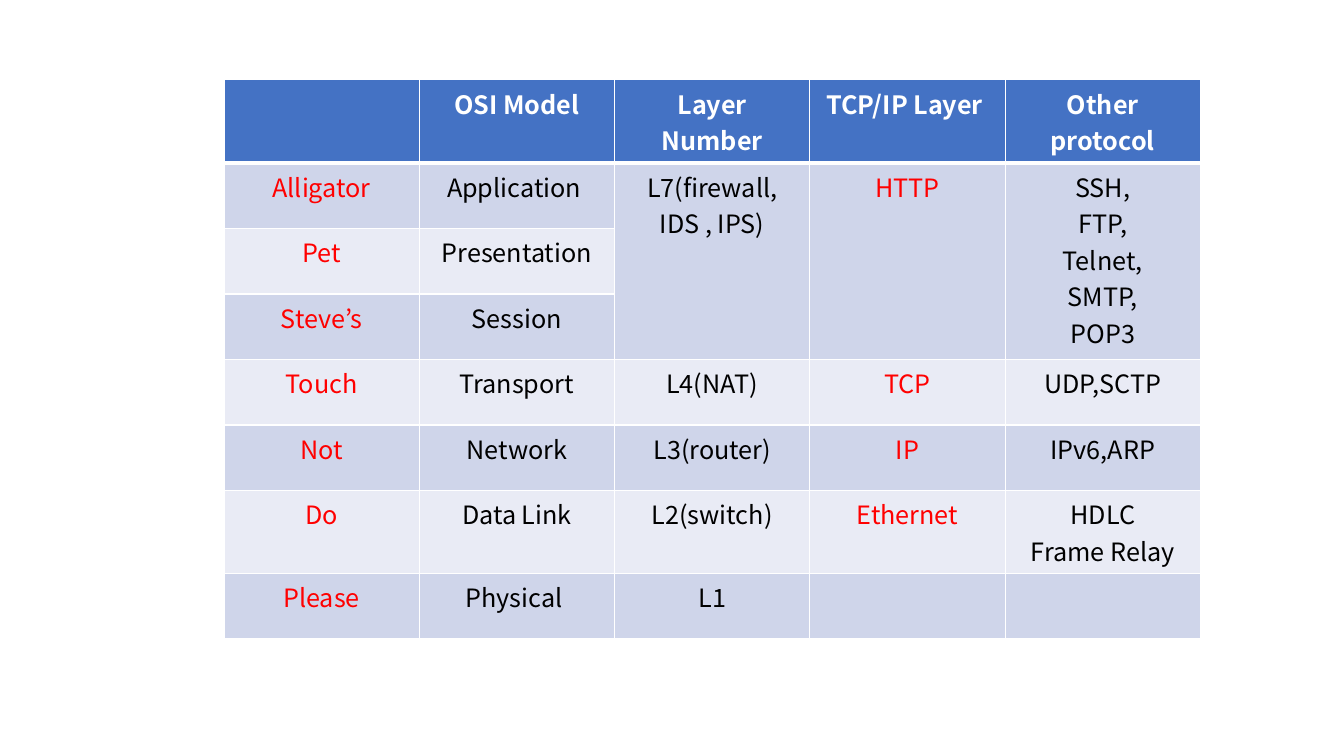
from pptx import Presentation, util as u
from pptx.dml.color import RGBColor
from pptx.enum import text
from pptx.oxml.ns import qn
from lxml import etree

HEADINGS = ["", "OSI Model", "Layer Number", "TCP/IP Layer ", "Other protocol"]
LAYERS = [
    ["Alligator", "Application ", "L7(firewall, IDS , IPS)", "HTTP",
     "SSH,\nFTP,\nTelnet,\nSMTP,\nPOP3"],
    ["Pet", "Presentation", "", "", ""],
    ["Steve’s", "Session", "", "", ""],
    ["Touch", "Transport", "L4(NAT)", "TCP", "UDP,SCTP"],
    ["Not", "Network", "L3(router)", "IP", "IPv6,ARP"],
    ["Do", "Data Link", "L2(switch)", "Ethernet", "HDLC\nFrame Relay"],
    ["Please", "Physical ", "L1", "", ""],
]
MERGED_COLUMNS = (2, 3, 4)
MERGED_ROWS = (1, 3)
RED_COLUMNS = (0, 3)

THEME = {
    "font": "Noto Sans CJK KR", "size": 18,
    "header": "4472C4", "bands": ("E9EBF5", "CFD5EA"),
    "header_text": "FFFFFF", "text": "000000", "accent": "FF0000",
    "border": "FFFFFF", "thin": 1, "thick": 3,
}
LEFT, TOP = 160, 57
COLUMN_WIDTH, ROW_HEIGHT = 139.5, 46.8


def set_borders(cell, row):
    """Add white cell edges, thick between the header and the body."""
    widths = {"L": THEME["thin"], "R": THEME["thin"],
              "T": THEME["thick"] if row == 1 else THEME["thin"],
              "B": THEME["thick"] if row == 0 else THEME["thin"]}
    properties = cell._tc.get_or_add_tcPr()
    for position, (side, width) in enumerate(widths.items()):
        line = etree.Element(qn(f"a:ln{side}"), w=str(int(u.Pt(width))))
        fill = etree.SubElement(line, qn("a:solidFill"))
        etree.SubElement(fill, qn("a:srgbClr"), val=THEME["border"])
        properties.insert(position, line)


def text_color(row, column):
    if row == 0:
        return THEME["header_text"]
    return THEME["accent"] if column in RED_COLUMNS else THEME["text"]


def fill_cell(cell, row, column, content):
    cell.text_frame.text = content
    for paragraph in cell.text_frame.paragraphs:
        paragraph.alignment = text.PP_ALIGN.CENTER
        for run in paragraph.runs:
            run.font.name = THEME["font"]
            run.font.size = u.Pt(THEME["size"])
            run.font.bold = row == 0
            run.font.color.rgb = RGBColor.from_string(text_color(row, column))
    background = THEME["bands"][row % 2] if row else THEME["header"]
    cell.fill.solid()
    cell.fill.fore_color.rgb = RGBColor.from_string(background)
    set_borders(cell, row)


def add_layer_table(slide):
    rows = [HEADINGS] + LAYERS
    table = slide.shapes.add_table(
        len(rows), len(HEADINGS), u.Pt(LEFT), u.Pt(TOP),
        u.Pt(COLUMN_WIDTH * len(HEADINGS)), u.Pt(ROW_HEIGHT * len(rows))).table
    for column in table.columns:
        column.width = u.Pt(COLUMN_WIDTH)
    for row in table.rows:
        row.height = u.Pt(ROW_HEIGHT)
    for row, contents in enumerate(rows):
        for column, content in enumerate(contents):
            fill_cell(table.cell(row, column), row, column, content)
    first, last = MERGED_ROWS
    for column in MERGED_COLUMNS:
        table.cell(first, column).merge(table.cell(last, column))


def main():
    presentation = Presentation()
    presentation.slide_width, presentation.slide_height = u.Pt(960), u.Pt(540)
    slide = presentation.slides.add_slide(presentation.slide_layouts[6])
    add_layer_table(slide)
    presentation.save("out.pptx")


if __name__ == "__main__":
    main()
